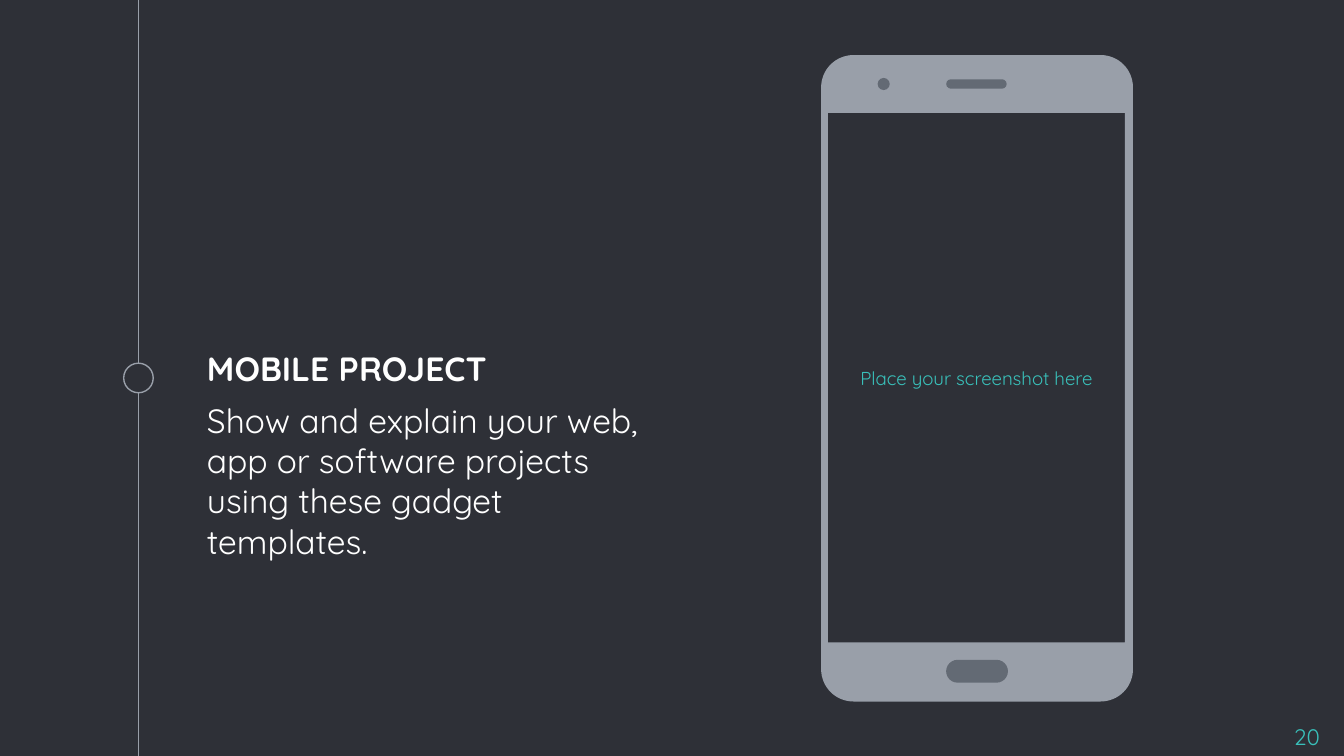
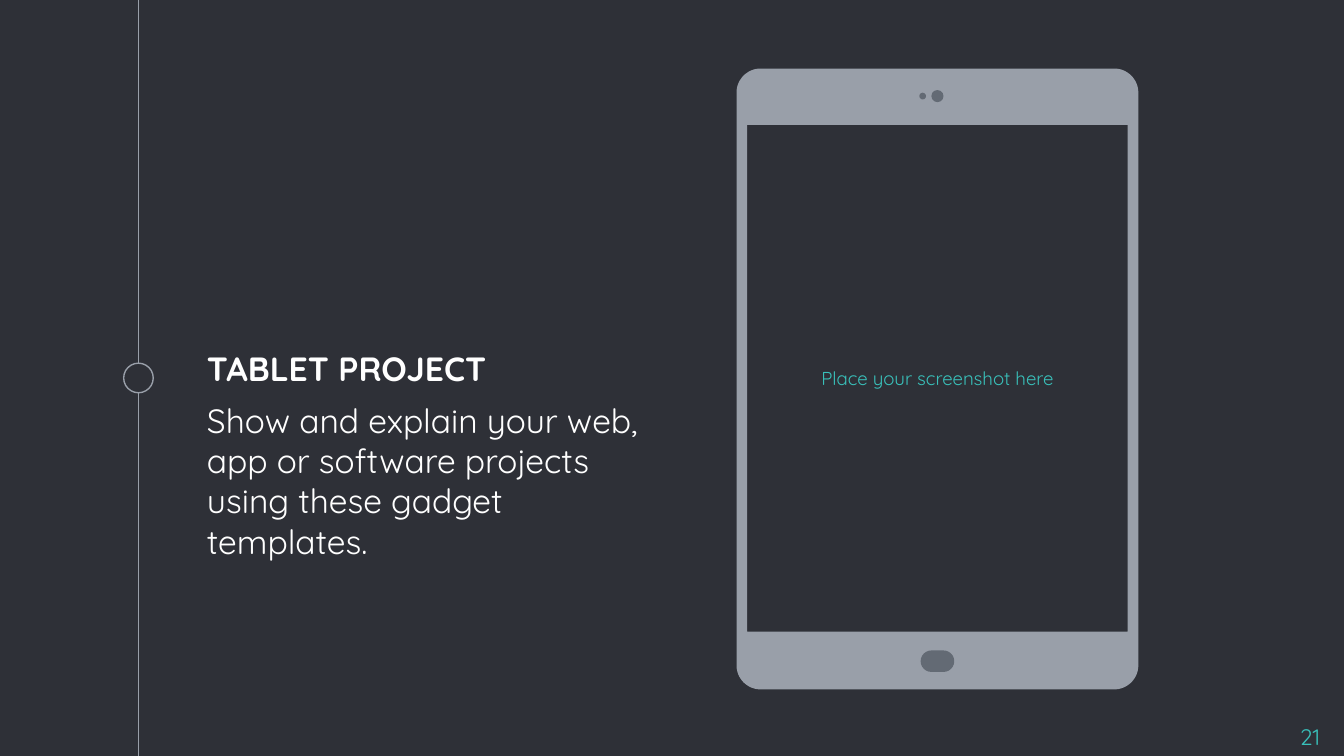
import math

from lxml import etree
from pptx import Presentation
from pptx.dml.color import RGBColor
from pptx.enum.shapes import MSO_CONNECTOR, MSO_SHAPE
from pptx.enum.text import MSO_ANCHOR, MSO_AUTO_SIZE, PP_ALIGN
from pptx.oxml.ns import qn
from pptx.util import Inches, Pt

ELLIPSE = MSO_SHAPE.OVAL
PILL = MSO_SHAPE.ROUNDED_RECTANGLE
STRAIGHT = MSO_CONNECTOR.STRAIGHT
TOP, MIDDLE = MSO_ANCHOR.TOP, MSO_ANCHOR.MIDDLE
LEFT, CENTER, RIGHT = PP_ALIGN.LEFT, PP_ALIGN.CENTER, PP_ALIGN.RIGHT
NO_AUTOFIT = MSO_AUTO_SIZE.NONE

COLORS = {
    "background": "2E3037",
    "case": "999FA9",
    "detail": "636A74",
    "text": "FFFFFF",
    "accent": "39C0BA",
}
FONT = "Quicksand"
RAIL_X = 1.03
DESCRIPTION = ("Show and explain your web, app or software projects "
               "using these gadget templates.")

# Boxes are left, top, width, height in inches.
PROJECTS = [
    {
        "heading": "MOBILE PROJECT",
        "number": 20,
        "case": (6.11, 0.41, 2.32, 4.81),
        "radius": 0.24,
        "screen": (6.16, 0.84, 2.21, 3.94),
        "details": [
            (PILL, (7.04, 4.91, 0.46, 0.17)),
            (ELLIPSE, (6.53, 0.58, 0.09, 0.09)),
            (PILL, (7.04, 0.59, 0.45, 0.07)),
        ],
    },
    {
        "heading": "TABLET PROJECT",
        "number": 21,
        "case": (5.48, 0.51, 2.99, 4.62),
        "radius": 0.18,
        "screen": (5.56, 0.93, 2.83, 3.77),
        "details": [
            (PILL, (6.85, 4.84, 0.25, 0.16)),
            (ELLIPSE, (6.84, 0.69, 0.05, 0.05)),
            (ELLIPSE, (6.93, 0.67, 0.09, 0.09)),
        ],
    },
]


def color(name):
    return RGBColor.from_string(COLORS[name])


def inches(values):
    return [Inches(value) for value in values]


def paint(shape, fill, line=None):
    shape.shadow.inherit = False
    shape.fill.solid()
    shape.fill.fore_color.rgb = color(fill)
    if line:
        shape.line.color.rgb = color(line)
        shape.line.width = Pt(0.75)
    else:
        shape.line.fill.background()


def set_frame(frame, anchor):
    frame.word_wrap = True
    frame.auto_size = NO_AUTOFIT
    frame.vertical_anchor = anchor
    frame.margin_left = frame.margin_right = Inches(0.1)
    frame.margin_top = frame.margin_bottom = Inches(0.1)


def write(para, text, size, color_name, align=LEFT, bold=False):
    para.text = text
    para.alignment = align
    for span in para.runs:
        span.font.name = FONT
        span.font.size = Pt(size)
        span.font.bold = bold
        span.font.color.rgb = color(color_name)


def remove_bullet(para):
    properties = para._p.get_or_add_pPr()
    properties.set("marL", "0")
    properties.set("indent", "0")
    etree.SubElement(properties, qn("a:buNone"))


def add_rail(slide, height):
    """Draw the vertical line with its ring at mid-height."""
    rail = slide.shapes.add_connector(STRAIGHT, Inches(RAIL_X), 0, Inches(RAIL_X), height)
    rail.line.color.rgb = color("case")
    rail.line.width = Pt(0.75)
    etree.SubElement(rail._element.spPr, qn("a:effectLst"))
    size = Inches(0.22)
    ring = slide.shapes.add_shape(
        ELLIPSE, Inches(RAIL_X) - size // 2, (height - size) // 2, size, size)
    paint(ring, "background", "case")


def add_description(slide, heading):
    body = slide.placeholders[1]
    body.left, body.top, body.width, body.height = inches((1.44, 2.49, 3.53, 1.8))
    frame = body.text_frame
    set_frame(frame, TOP)
    write(frame.paragraphs[0], heading, 18, "text", bold=True)
    write(frame.add_paragraph(), DESCRIPTION, 18, "text")
    for para in frame.paragraphs:
        para.space_before = Pt(6)
        remove_bullet(para)


def add_label(slide, box, text, size, align, anchor=TOP):
    label = slide.shapes.add_textbox(*inches(box))
    set_frame(label.text_frame, anchor)
    write(label.text_frame.paragraphs[0], text, size, "accent", align)


def rounded_outline(box, radius, steps=16):
    """Return the points of a rounded rectangle, clockwise from its left edge."""
    left, top, width, height = box
    right, bottom = left + width - radius, top + height - radius
    left, top = left + radius, top + radius
    centers = [(left, top), (right, top), (right, bottom), (left, bottom)]
    points = []
    for corner, (x, y) in enumerate(centers):
        for step in range(steps + 1):
            angle = math.pi * (1 + corner / 2 + step / steps / 2)
            points.append((x + radius * math.cos(angle), y + radius * math.sin(angle)))
    return points


def add_case(slide, case, radius, screen):
    """Draw the device case with the screen cut out of it."""
    outline = [inches(point) for point in rounded_outline(case, radius)]
    left, top, width, height = inches(screen)
    right, bottom = left + width, top + height
    builder = slide.shapes.build_freeform(*outline[0])
    builder.add_line_segments(outline[1:])
    builder.move_to(left, top)
    builder.add_line_segments([(left, bottom), (right, bottom), (right, top)])
    paint(builder.convert_to_shape(), "case")


def add_detail(slide, kind, box):
    detail = slide.shapes.add_shape(kind, *inches(box))
    if kind == PILL:
        detail.adjustments[0] = 0.5
    paint(detail, "detail")


def add_project_slide(deck, project):
    slide = deck.slides.add_slide(deck.slide_layouts[1])
    title = slide.shapes.title._element
    title.getparent().remove(title)
    add_description(slide, project["heading"])
    add_rail(slide, deck.slide_height)
    add_label(slide, (9.32, 5.28, 0.6, 0.34), str(project["number"]), 12, RIGHT)
    add_label(slide, project["screen"], "Place your screenshot here", 10, CENTER, MIDDLE)
    add_case(slide, project["case"], project["radius"], project["screen"])
    for kind, box in project["details"]:
        add_detail(slide, kind, box)


def main():
    deck = Presentation()
    deck.slide_width = Inches(10)
    deck.slide_height = deck.slide_width * 9 // 16
    background = deck.slide_master.background.fill
    background.solid()
    background.fore_color.rgb = color("background")
    for project in PROJECTS:
        add_project_slide(deck, project)
    deck.save("out.pptx")


if __name__ == "__main__":
    main()
